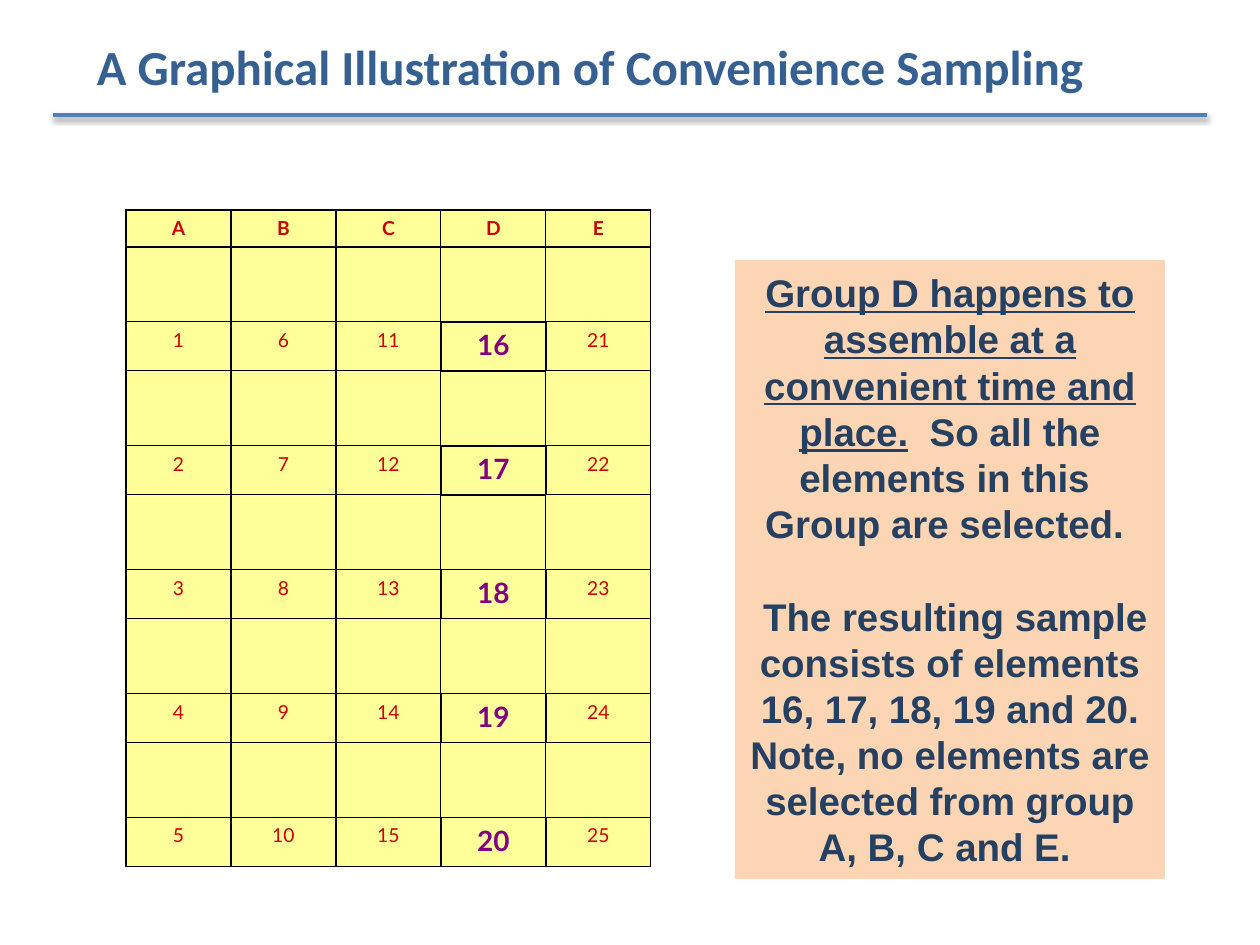
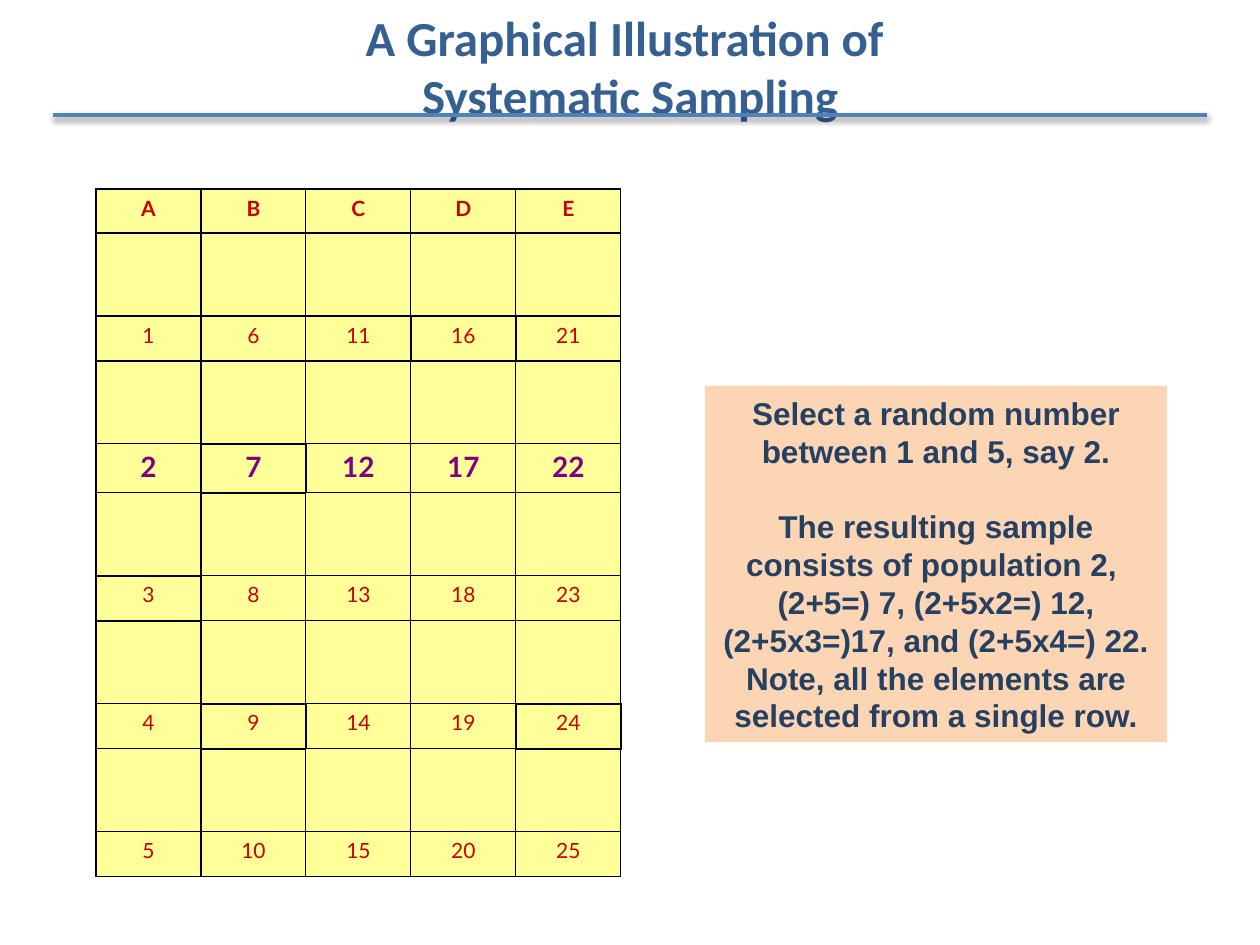
"""Builds two slides that illustrate convenience and systematic sampling."""
import dataclasses

import lxml.etree
import pptx
import pptx.dml.color
import pptx.enum.shapes
import pptx.enum.text
import pptx.oxml
import pptx.oxml.ns
import pptx.util

GROUPS = ["A", "B", "C", "D", "E"]
GROUP_SIZE = 5

SLIDES = [
    {
        "title": ["A Graphical Illustration of Convenience Sampling"],
        "title_box": (53, 5, 1074, 121),
        "grid_corner": (126, 210),
        "row_heights": {"heading": 37, "gap": 75, "plain": 49, "selected": 49},
        "grid_size": 11,
        "selected": {16, 17, 18, 19, 20},
        "outlined": {16, 17, 18, 19, 20},
        "message_box": (735, 260, 430, 619),
        "message_size": 22,
        "message": [
            {"runs": [
                ("Group D happens to assemble at a convenient time and place.", True),
                ("  So all the elements in this  Group are selected. ", False),
            ]},
            {"gap": True, "runs": [
                (" The resulting sample consists of elements 16, 17, 18, 19 and 20. "
                 "Note, no elements are selected from group A, B, C and E. ", False),
            ]},
        ],
    },
    {
        "title": ["A Graphical Illustration of ", "Systematic Sampling"],
        "title_box": (93, 0, 1074, 132),
        "grid_corner": (96, 189),
        "row_heights": {"heading": 44, "gap": 83, "plain": 45, "selected": 49},
        "grid_size": 12,
        "selected": {2, 7, 12, 17, 22},
        "outlined": {16, 7, 3, 9, 24},
        "message_box": (705, 386, 462, 356),
        "message_size": 18,
        "message": [
            {"runs": [("Select a random number between 1 and 5, say 2.", False)]},
            {"gap": True, "runs": [("The resulting sample consists of population 2, ", False)]},
            {"runs": [
                ("(2+5=) 7, (2+5x2=) 12, (2+5x3=)17, and (2+5x4=) 22. "
                 "Note, all the elements are selected from a single row.", False),
            ]},
        ],
    },
]


@dataclasses.dataclass(frozen=True)
class Theme:
    title_font: str = "Calibri"
    grid_font: str = "Lato"
    message_font: str = "Arial"
    title_color: str = "376092"
    rule_color: str = "4F81BD"
    grid_fill: str = "FFFF99"
    grid_color: str = "CC0000"
    selected_color: str = "800080"
    border_color: str = "000000"
    message_fill: str = "FCD5B5"
    message_color: str = "254061"
    title_size: int = 28
    selected_size: int = 16
    rule_width: float = 2
    border_width: float = 0.75
    outline_width: float = 1
    line_spacing: float = 1.2


THEME = Theme()
SLIDE_SIZE = (1260, 945)
RULE = (53, 115, 1207, 115)
COLUMN_WIDTH = 105
CENTER = pptx.enum.text.PP_ALIGN.CENTER
MIDDLE = pptx.enum.text.MSO_ANCHOR.MIDDLE


def px(length):
    return pptx.util.Emu(round(length * 914400 / 126))


def rgb(color):
    return pptx.dml.color.RGBColor.from_string(color)


def add_run(paragraph, text, font, size, color, bold=True, underline=False):
    paragraph.alignment = CENTER
    run = paragraph.add_run()
    run.text = text
    run.font.name = font
    run.font.size = pptx.util.Pt(size)
    run.font.color.rgb = rgb(color)
    run.font.bold = bold
    run.font.underline = underline


def add_rule(slide):
    rule = slide.shapes.add_connector(
        pptx.enum.shapes.MSO_CONNECTOR.STRAIGHT, *map(px, RULE))
    rule.line.color.rgb = rgb(THEME.rule_color)
    rule.line.width = pptx.util.Pt(THEME.rule_width)
    rule.element.spPr.append(pptx.oxml.parse_xml(
        f'<a:effectLst {pptx.oxml.ns.nsdecls("a")}>'
        '<a:outerShdw blurRad="40000" dist="20000" dir="5400000" rotWithShape="0">'
        '<a:srgbClr val="000000"><a:alpha val="38000"/></a:srgbClr>'
        '</a:outerShdw></a:effectLst>'))


def add_title(slide, content):
    title = slide.shapes.title
    title.left, title.top, title.width, title.height = map(px, content["title_box"])
    frame = title.text_frame
    frame.auto_size = pptx.enum.text.MSO_AUTO_SIZE.NONE
    frame.vertical_anchor = MIDDLE
    paragraph = frame.paragraphs[0]
    for index, line in enumerate(content["title"]):
        if index:
            paragraph.add_line_break()
        add_run(paragraph, line, THEME.title_font, THEME.title_size, THEME.title_color)


def set_borders(cell, widths):
    properties = cell._tc.get_or_add_tcPr()
    for index, (side, width) in enumerate(zip("LRTB", widths)):
        border = pptx.oxml.parse_xml(
            f'<a:ln{side} {pptx.oxml.ns.nsdecls("a")} w="{pptx.util.Pt(width)}"/>')
        fill = lxml.etree.SubElement(border, pptx.oxml.ns.qn("a:solidFill"))
        color = lxml.etree.SubElement(fill, pptx.oxml.ns.qn("a:srgbClr"))
        color.set("val", THEME.border_color)
        properties.insert(index, border)


def grid_rows(selected):
    rows = [("heading", GROUPS)]
    for first in range(1, GROUP_SIZE + 1):
        numbers = [first + GROUP_SIZE * group for group in range(len(GROUPS))]
        kind = "selected" if selected.intersection(numbers) else "plain"
        rows += [("gap", [None] * len(GROUPS)), (kind, numbers)]
    return rows


def add_grid(slide, content):
    rows = grid_rows(content["selected"])
    heights = [content["row_heights"][kind] for kind, values in rows]
    left, top = content["grid_corner"]
    table = slide.shapes.add_table(
        len(rows), len(GROUPS), px(left), px(top),
        px(COLUMN_WIDTH * len(GROUPS)), px(sum(heights))).table
    table.first_row = table.horz_banding = False
    for column in table.columns:
        column.width = px(COLUMN_WIDTH)
    outlined = {(row, column) for row, (kind, values) in enumerate(rows)
                for column, value in enumerate(values) if value in content["outlined"]}
    for row, (kind, values) in enumerate(rows):
        table.rows[row].height = px(heights[row])
        for column, value in enumerate(values):
            cell = table.cell(row, column)
            cell.fill.solid()
            cell.fill.fore_color.rgb = rgb(THEME.grid_fill)
            neighbours = [(row, column - 1), (row, column + 1),
                          (row - 1, column), (row + 1, column)]
            set_borders(cell, [
                THEME.outline_width if outlined & {(row, column), neighbour}
                else THEME.border_width for neighbour in neighbours])
            if value is None:
                continue
            chosen = value in content["selected"]
            add_run(cell.text_frame.paragraphs[0], str(value), THEME.grid_font,
                    THEME.selected_size if chosen else content["grid_size"],
                    THEME.selected_color if chosen else THEME.grid_color,
                    bold=chosen or kind == "heading")


def add_message(slide, content):
    shape = slide.shapes.add_shape(
        pptx.enum.shapes.MSO_SHAPE.RECTANGLE, *map(px, content["message_box"]))
    shape.shadow.inherit = False
    shape.fill.solid()
    shape.fill.fore_color.rgb = rgb(THEME.message_fill)
    shape.line.fill.background()
    frame = shape.text_frame
    frame.word_wrap = True
    frame.vertical_anchor = MIDDLE
    line_height = pptx.util.Pt(content["message_size"] * THEME.line_spacing)
    for index, part in enumerate(content["message"]):
        paragraph = frame.add_paragraph() if index else frame.paragraphs[0]
        paragraph.line_spacing = line_height
        if part.get("gap"):
            paragraph.space_before = line_height
        for text, underline in part["runs"]:
            add_run(paragraph, text, THEME.message_font, content["message_size"],
                    THEME.message_color, underline=underline)


def main():
    presentation = pptx.Presentation()
    presentation.slide_width, presentation.slide_height = map(px, SLIDE_SIZE)
    title_only = presentation.slide_layouts[5]
    for content in SLIDES:
        slide = presentation.slides.add_slide(title_only)
        add_rule(slide)
        add_title(slide, content)
        add_grid(slide, content)
        add_message(slide, content)
    presentation.save("out.pptx")


if __name__ == "__main__":
    main()
